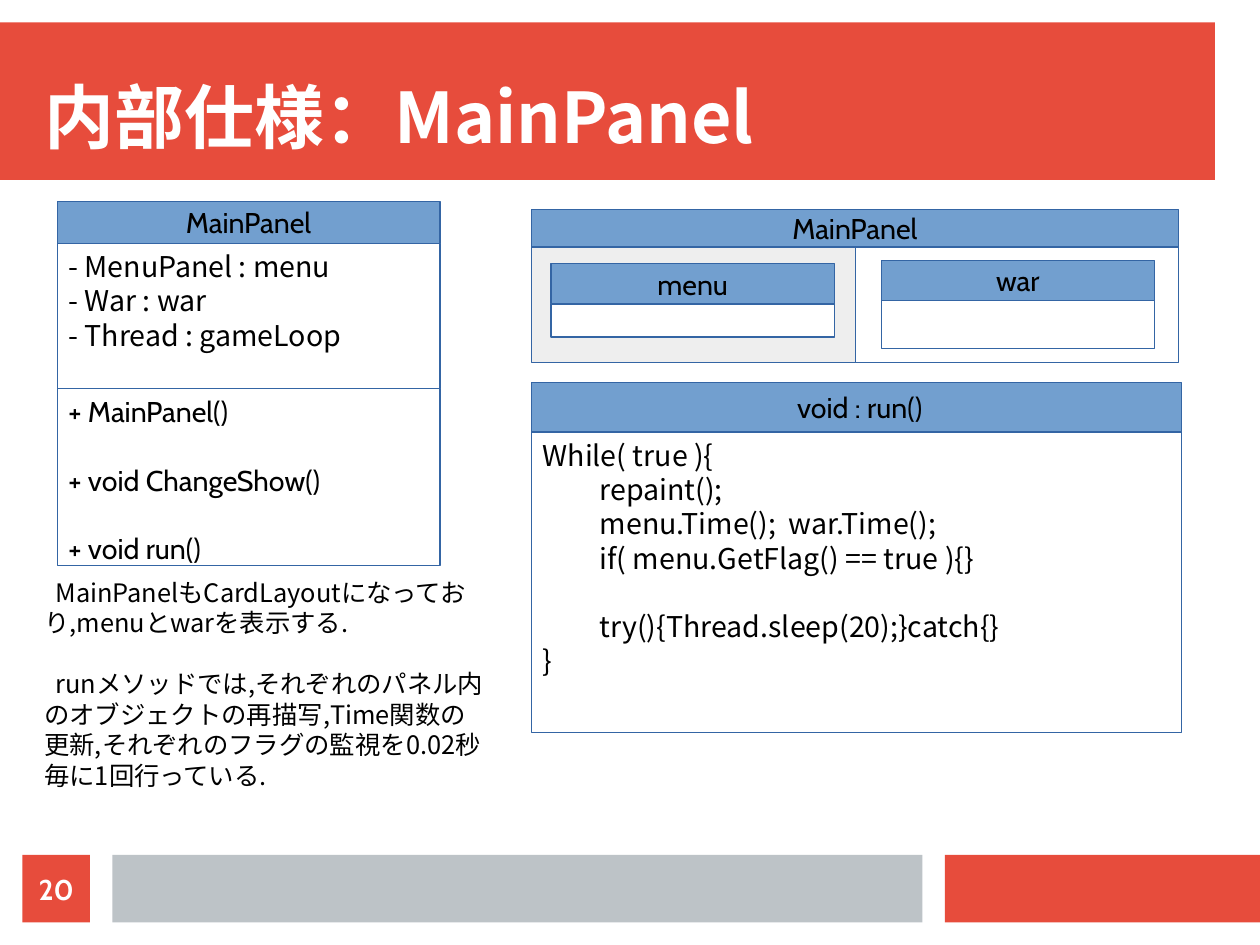
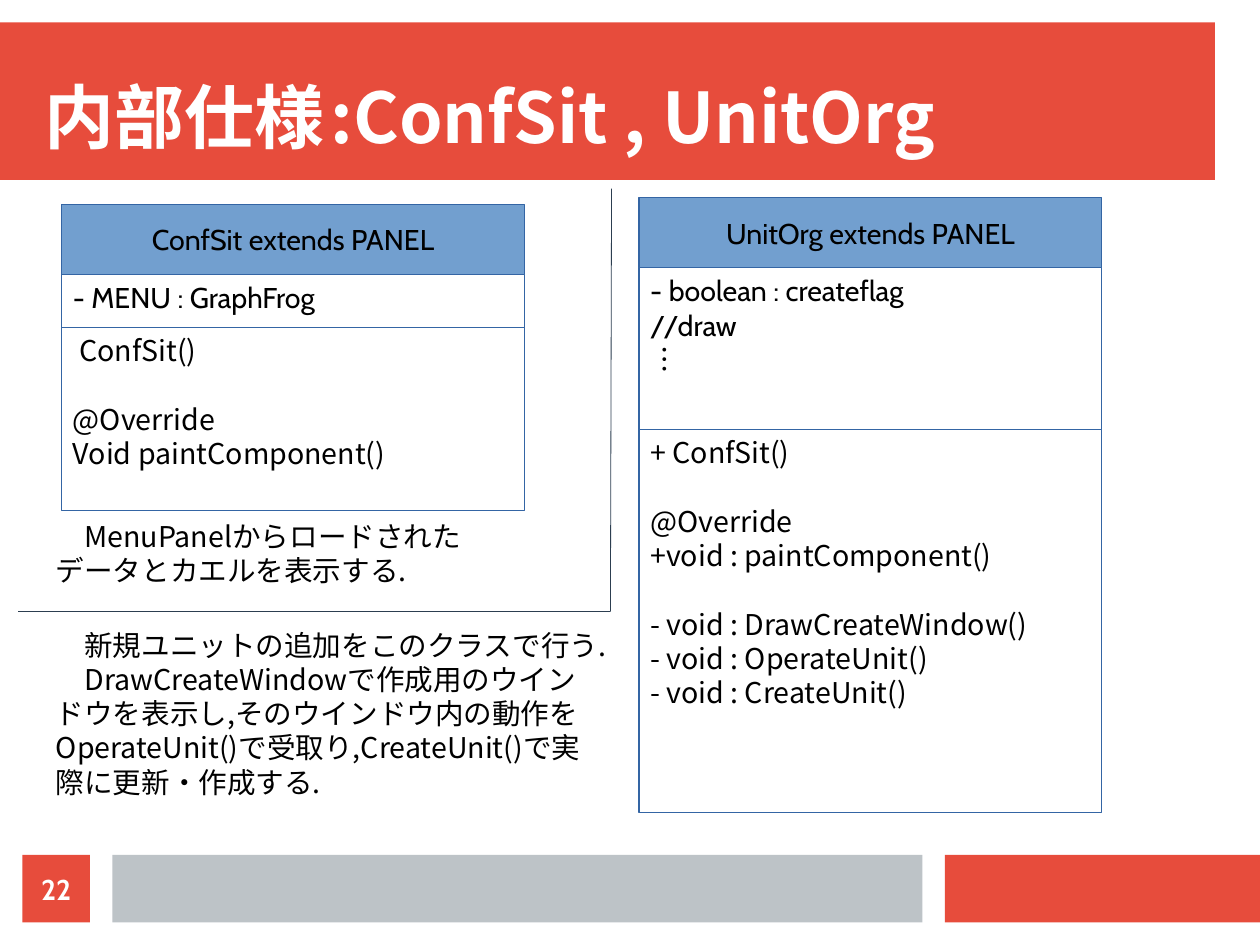
from pptx import Presentation
from pptx.dml.color import RGBColor
from pptx.enum.shapes import MSO_CONNECTOR as Connector, MSO_SHAPE as Shape
from pptx.enum.text import MSO_ANCHOR as Anchor, PP_ALIGN as Align
from pptx.oxml.ns import qn
from pptx.util import Cm, Pt
from lxml.etree import SubElement

# The grid has 56 columns and 42 rows of half a centimetre.
COLUMNS, ROWS, CELL = 56, 42, Cm(0.5)
RED, GREY, NAVY, BLACK, WHITE = "E74C3C", "BDC3C7", "2C3E50", "000000", "FFFFFF"
BLUE, PALE, OUTLINE = "729FCF", "EEEEEE", "3465A4"
LATIN, GOTHIC = "Cabin", "Noto Sans CJK JP"
LINE_HEIGHT = 1.2


def add_box(slide, area, fill, outline=None):
    """Add a rectangle; area is left, top, width and height in cells."""
    shape = slide.shapes.add_shape(Shape.RECTANGLE, *(round(n * CELL) for n in area))
    shape.shadow.inherit = False
    shape.fill.solid()
    shape.fill.fore_color.rgb = RGBColor.from_string(fill)
    if outline:
        shape.line.width = 0
        shape.line.color.rgb = RGBColor.from_string(outline)
    else:
        shape.line.fill.background()
    return shape


def write(shape, lines, font=GOTHIC, size=18, color=BLACK, bold=False,
          align=Align.LEFT, anchor=Anchor.TOP, inset=True, indent=0):
    """Fill a shape with paragraphs; an empty line becomes space before the next one."""
    frame = shape.text_frame
    frame.word_wrap, frame.vertical_anchor = True, anchor
    if not inset:
        for side in ("left", "right", "top", "bottom"):
            setattr(frame, f"margin_{side}", 0)
    for index, line in enumerate(line for line in lines if line):
        paragraph = frame.add_paragraph() if index else frame.paragraphs[0]
        gap = index and not lines[lines.index(line) - 1]
        paragraph.space_before = Pt(size * LINE_HEIGHT if gap else 0)
        paragraph.alignment = align
        if indent:
            paragraph._p.get_or_add_pPr().set("indent", str(round(indent * CELL)))
        run = paragraph.add_run()
        run.text = line
        for name, value in {"name": font, "size": Pt(size), "bold": bold}.items():
            setattr(run.font, name, value)
        run.font.color.rgb = RGBColor.from_string(color)
        SubElement(run._r.get_or_add_rPr(), qn("a:ea"), typeface=GOTHIC)


# Each panel: left, top, width, and its stacked compartments (height, fill, font, lines).
# Each note: area, size, first-line indent, paragraphs.
CONTENT = [
    {
        "title": "内部仕様：MainPanel",
        "number": "20",
        "panels": [
            (2.54, 8.94, 17.02, [
                (1.88, BLUE, LATIN, ["MainPanel"]),
                (6.45, WHITE, GOTHIC, ["- MenuPanel : menu", "- War : war",
                                       "- Thread : gameLoop"]),
                (7.87, WHITE, LATIN, ["+ MainPanel()", "", "+ void ChangeShow()", "",
                                      "+ void run()"]),
            ]),
            (23.62, 9.3, 28.75, [(1.68, BLUE, LATIN, ["MainPanel"])]),
            (23.62, 10.98, 14.4, [(5.13, PALE, LATIN, [])]),
            (38.02, 10.98, 14.35, [(5.13, WHITE, LATIN, [])]),
            (24.49, 11.73, 12.6, [(1.78, BLUE, LATIN, ["menu"]),
                                  (1.47, WHITE, LATIN, [])]),
            (39.17, 11.58, 12.14, [(1.78, BLUE, LATIN, ["war"]),
                                   (2.13, WHITE, LATIN, [])]),
            (23.62, 17.02, 28.9, [
                (2.18, BLUE, LATIN, [" void : run()"]),
                (13.36, WHITE, GOTHIC, [
                    "While( true ){", "\trepaint();", "\tmenu.Time();  war.Time();",
                    "\tif( menu.GetFlag() == true ){}", "",
                    "\ttry(){Thread.sleep(20);}catch{}", "}"]),
            ]),
        ],
        "notes": [
            ((1.47, 25.4, 20.83, 14.38), 16, 0.5, [
                "MainPanelもCardLayoutになっており,menuとwarを表示する.", "",
                "runメソッドでは,それぞれのパネル内のオブジェクトの再描写,Time関数の更新,"
                "それぞれのフラグの監視を0.02秒毎に1回行っている."]),
        ],
        "dividers": [],
    },
    {
        "title": "内部仕様\t:ConfSit , UnitOrg",
        "number": "22",
        "panels": [
            (2.74, 9.09, 20.57, [
                (3.1, BLUE, LATIN, ["ConfSit extends PANEL"]),
                (2.36, WHITE, LATIN, ["- MENU : GraphFrog"]),
                (8.13, WHITE, GOTHIC, [" ConfSit()", "", "@Override",
                                       "Void paintComponent()"]),
            ]),
            (28.4, 8.79, 20.57, [
                (3.1, BLUE, LATIN, ["UnitOrg extends PANEL"]),
                (7.21, WHITE, LATIN, ["- boolean : createflag", "//draw", "︙"]),
                (17.02, WHITE, GOTHIC, [
                    "+ ConfSit()", "", "@Override", "+void : paintComponent()", "",
                    "- void : DrawCreateWindow()", "- void : OperateUnit()",
                    "- void : CreateUnit()"]),
            ]),
        ],
        "notes": [
            ((1.98, 22.81, 20.88, 4.5), 18, 0, [
                "　MenuPanelからロードされたデータとカエルを表示する."]),
            ((1.98, 27.64, 25.15, 9.96), 18, 0, [
                "　新規ユニットの追加をこのクラスで行う.",
                "　DrawCreateWindowで作成用のウインドウを表示し,そのウインドウ内の動作を"
                "OperateUnit()で受取り,CreateUnit()で実際に更新・作成する."]),
        ],
        "dividers": [(0.81, 27.18, 27.13, 27.18), (27.13, 27.18, 27.18, 8.38)],
    },
]

presentation = Presentation()
presentation.slide_width, presentation.slide_height = COLUMNS * CELL, ROWS * CELL
layout = presentation.slide_layouts.get_by_name("Title Only")
slides = [presentation.slides.add_slide(layout) for _ in CONTENT]

# The bands are drawn once and moved to the shared layout.
for area, fill in [((0, 1, 54, 7), RED), ((42, 38, 14, 3), RED), ((5, 38, 36, 3), GREY)]:
    layout.shapes.element.append(add_box(slides[0], area, fill).element)

for slide, content in zip(slides, CONTENT):
    title = slide.shapes.title
    for name, cells in {"left": 2, "top": 2, "width": 52, "height": 5}.items():
        setattr(title, name, cells * CELL)
    write(title, [content["title"]], size=44, color=WHITE, bold=True,
          anchor=Anchor.BOTTOM, inset=False)

    for left, top, width, compartments in content["panels"]:
        for height, fill, font, lines in compartments:
            box = add_box(slide, (left, top, width, height), fill, OUTLINE)
            header = fill == BLUE
            write(box, lines, font, align=Align.CENTER if header else Align.LEFT,
                  anchor=Anchor.MIDDLE if header else Anchor.TOP)
            top += height

    for area, size, indent, lines in content["notes"]:
        note = slide.shapes.add_textbox(*(round(n * CELL) for n in area))
        write(note, lines, size=size, indent=indent)

    for ends in content["dividers"]:
        divider = slide.shapes.add_connector(
            Connector.STRAIGHT, *(round(n * CELL) for n in ends))
        divider.line.width = Pt(0.5)
        divider.line.color.rgb = RGBColor.from_string(NAVY)
        SubElement(divider.element.spPr, qn("a:effectLst"))

    number = add_box(slide, (1, 38, 3, 3), RED)
    write(number, [content["number"]], LATIN, color=WHITE, bold=True,
          align=Align.CENTER, anchor=Anchor.MIDDLE, inset=False)

presentation.save("out.pptx")
